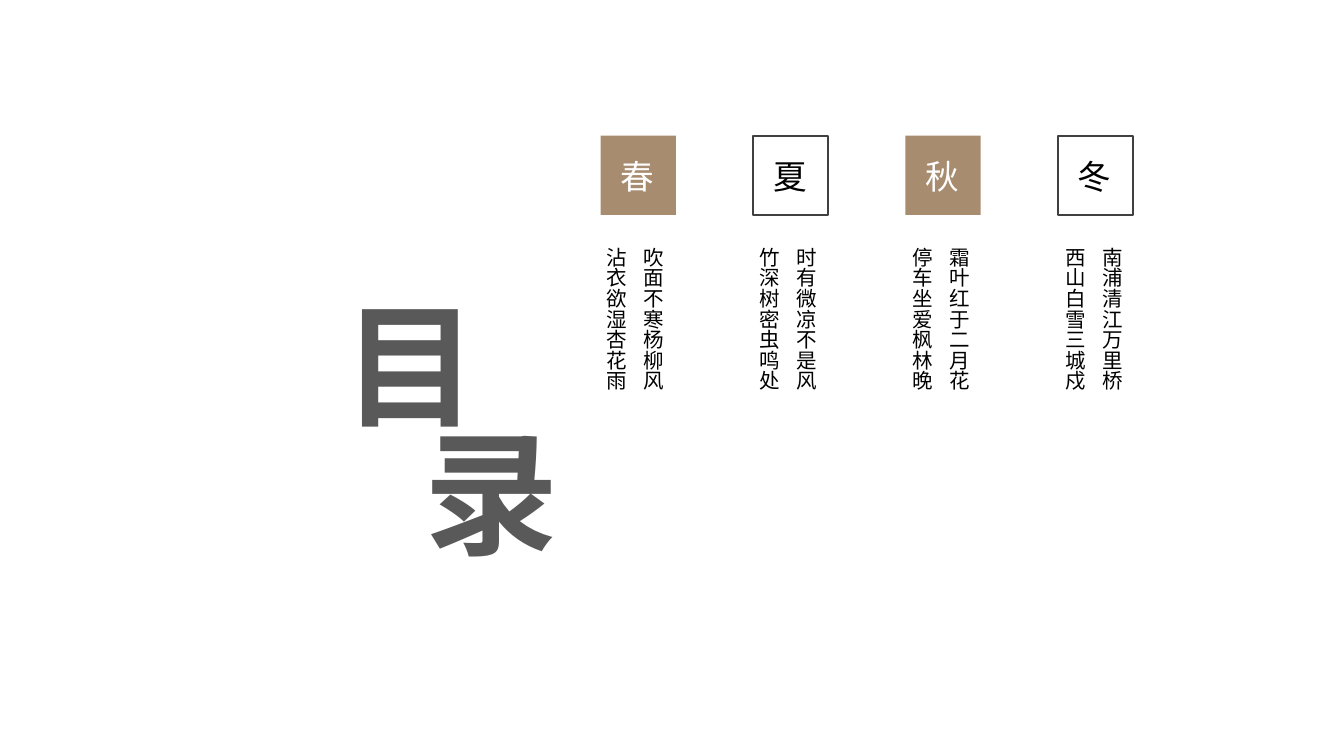
import pptx
import pptx.util
import pptx.dml.color
import pptx.enum.shapes
import pptx.enum.text
import pptx.oxml.ns
import lxml.etree

# Content: season, verse lines from right to left
SEASONS = [
    ("春", ["吹面不寒杨柳风", "沾衣欲湿杏花雨"]),
    ("夏", ["时有微凉不是风", "竹深树密虫鸣处"]),
    ("秋", ["霜叶红于二月花", "停车坐爱枫林晚"]),
    ("冬", ["南浦清江万里桥", "西山白雪三城戍"]),
]
TITLE = ["目", "录"]

THEME = {
    "font": "Noto Sans CJK SC",
    "tan": "A88C6F", "edge": "404040", "title": "595959",
    "dark": "000000", "light": "FFFFFF",
    "big": 72, "mid": 18, "small": 11,
}

# Grid in inches, on a 16:9 slide
WIDE = 10
HIGH = WIDE * 9 / 16
LEFT, TOP, STEP = 4.47, 1.01, 3.4 / 3
BOX_W, BOX_H = 0.56, 0.59
SIGN_X, SIGN_Y, SIGN_W, SIGN_H = 0.05, 0.1, 0.45, 0.4
VERSE_X, VERSE_Y, VERSE_STEP = 4.41, 1.8, 1.14
VERSE_W, VERSE_H = 0.7, 2.19
HEAD_X, HEAD_Y, HEAD_W, HEAD_H = 2.33, 2.18, 1.36, 1.07
HEAD_DX, HEAD_DY = 0.6, 0.95

inch = pptx.util.Inches


def color(name):
    return pptx.dml.color.RGBColor.from_string(THEME[name])


def write(slide, place, lines, size, tint, upright=False, wrap=False,
          space=None, bold=False):
    box = slide.shapes.add_textbox(*map(inch, place))
    frame = box.text_frame
    frame.word_wrap = wrap
    frame.auto_size = pptx.enum.text.MSO_AUTO_SIZE.SHAPE_TO_FIT_TEXT
    if upright:
        frame.margin_left = frame.margin_right = inch(0.07)
        frame.margin_top = frame.margin_bottom = inch(0.04)
        body = frame._txBody.find(pptx.oxml.ns.qn("a:bodyPr"))
        body.set("vert", "eaVert")
    frame.text = "\n".join(lines)
    for para in frame.paragraphs:
        para.line_spacing = space
        font = para.font
        font.size = pptx.util.Pt(THEME[size])
        font.bold = bold
        font.color.rgb = color(tint)
        font.name = THEME["font"]
        # East Asian glyphs need their own typeface entry
        lxml.etree.SubElement(font._element, pptx.oxml.ns.qn("a:ea"),
                              typeface=THEME["font"])


def tile(slide, x, solid):
    box = slide.shapes.add_shape(
        pptx.enum.shapes.MSO_SHAPE.RECTANGLE,
        *map(inch, (x, TOP, BOX_W, BOX_H)))
    box.shadow.inherit = False
    if solid:
        box.fill.solid()
        box.fill.fore_color.rgb = color("tan")
        box.line.fill.background()
    else:
        box.fill.background()
        box.line.color.rgb = color("edge")
        box.line.width = pptx.util.Pt(1)


def main():
    deck = pptx.Presentation()
    deck.slide_width, deck.slide_height = inch(WIDE), inch(HIGH)
    slide = deck.slides.add_slide(deck.slide_layouts[6])

    # Season columns: tiles alternate between filled and outlined
    for i, (sign, verse) in enumerate(SEASONS):
        x = LEFT + i * STEP
        solid = i % 2 == 0
        tile(slide, x, solid)
        sign_at = (x + SIGN_X, TOP + SIGN_Y, SIGN_W, SIGN_H)
        write(slide, sign_at, [sign], "mid", "light" if solid else "dark")
        verse_at = (VERSE_X + i * VERSE_STEP, VERSE_Y, VERSE_W, VERSE_H)
        write(slide, verse_at, verse, "small", "dark",
              upright=True, wrap=True, space=1.5)

    # Title steps down to the right
    for i, sign in enumerate(TITLE):
        head_at = (HEAD_X + i * HEAD_DX, HEAD_Y + i * HEAD_DY, HEAD_W, HEAD_H)
        write(slide, head_at, [sign], "big", "title", upright=True, bold=True)

    deck.save("out.pptx")


if __name__ == "__main__":
    main()
